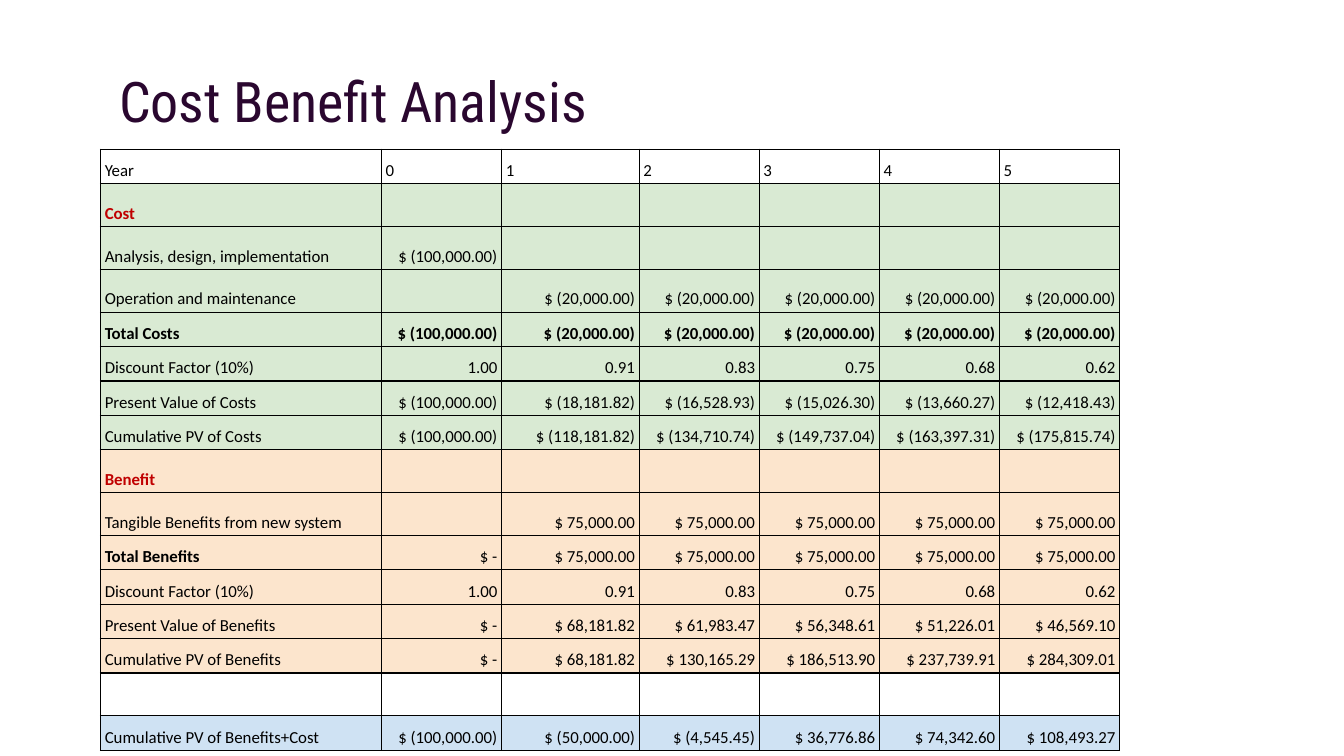
import pptx
import pptx.util
import pptx.dml.color
import pptx.enum.text
import pptx.oxml
import pptx.oxml.ns
from pptx.util import Cm


def color(value):
    return pptx.dml.color.RGBColor.from_string(value)


def add_borders(cell):
    properties = cell._tc.get_or_add_tcPr()
    for position, side in enumerate(("lnL", "lnR", "lnT", "lnB")):
        properties.insert(position, pptx.oxml.parse_xml(
            f'<a:{side} {pptx.oxml.ns.nsdecls("a")} w="9525"><a:solidFill>'
            f'<a:srgbClr val="000000"/></a:solidFill></a:{side}>'))


prs = pptx.Presentation()
prs.slide_width = Cm(25.4)
prs.slide_height = Cm(14.29)
slide = prs.slides.add_slide(prs.slide_layouts[6])

title = slide.shapes.add_textbox(Cm(2), Cm(1), Cm(21.4), Cm(1.6)).text_frame
title.word_wrap = True
title.margin_left = title.margin_right = Cm(0.25)
title.margin_top = title.margin_bottom = Cm(0.25)
heading = title.paragraphs[0]
heading.text = "Cost Benefit Analysis"
heading.font.name = "Roboto Condensed"
heading.font.size = pptx.util.Pt(30)
heading.font.color.rgb = color("2A072F")

WHITE, GREEN, ORANGE, BLUE = "FFFFFF", "D9EAD3", "FCE5CD", "CFE2F3"
empty = [""] * 6
upkeep = ["$ (20,000.00)"] * 5
income = ["$ 75,000.00"] * 5
discount = ["Discount Factor (10%)", "1.00", "0.91", "0.83", "0.75", "0.68", "0.62"]
analysis = [
    (WHITE, ["Year", "0", "1", "2", "3", "4", "5"]),
    (GREEN, ["Cost", *empty]),
    (GREEN, ["Analysis, design, implementation", "$ (100,000.00)", *empty[1:]]),
    (GREEN, ["Operation and maintenance", "", *upkeep]),
    (GREEN, ["Total Costs", "$ (100,000.00)", *upkeep]),
    (GREEN, discount),
    (GREEN, ["Present Value of Costs", "$ (100,000.00)", "$ (18,181.82)", "$ (16,528.93)",
             "$ (15,026.30)", "$ (13,660.27)", "$ (12,418.43)"]),
    (GREEN, ["Cumulative PV of Costs", "$ (100,000.00)", "$ (118,181.82)", "$ (134,710.74)",
             "$ (149,737.04)", "$ (163,397.31)", "$ (175,815.74)"]),
    (ORANGE, ["Benefit", *empty]),
    (ORANGE, ["Tangible Benefits from new system", "", *income]),
    (ORANGE, ["Total Benefits", "$ -", *income]),
    (ORANGE, discount),
    (ORANGE, ["Present Value of Benefits", "$ -", "$ 68,181.82", "$ 61,983.47",
              "$ 56,348.61", "$ 51,226.01", "$ 46,569.10"]),
    (ORANGE, ["Cumulative PV of Benefits", "$ -", "$ 68,181.82", "$ 130,165.29",
              "$ 186,513.90", "$ 237,739.91", "$ 284,309.01"]),
    (WHITE, ["", *empty]),
    (BLUE, ["Cumulative PV of Benefits+Cost", "$ (100,000.00)", "$ (50,000.00)",
            "$ (4,545.45)", "$ 36,776.86", "$ 74,342.60", "$ 108,493.27"]),
]
column_widths = [5.31, 2.27, 2.6, 2.27, 2.27, 2.27, 2.27]
row_heights = [0.81 if "" in values else 0.65 for fill, values in analysis]

costs = slide.shapes.add_table(len(analysis), len(column_widths), Cm(1.9), Cm(2.82),
                               Cm(sum(column_widths)), Cm(sum(row_heights))).table
for column, width in zip(costs.columns, column_widths):
    column.width = Cm(width)

for r, (fill, values) in enumerate(analysis):
    costs.rows[r].height = Cm(row_heights[r])
    section = values[0] in ("Cost", "Benefit")
    for c, value in enumerate(values):
        cell = costs.cell(r, c)
        cell.fill.solid()
        cell.fill.fore_color.rgb = color(fill)
        add_borders(cell)
        cell.margin_left = cell.margin_right = Cm(0.08)
        cell.margin_top = cell.margin_bottom = Cm(0.05)
        cell.vertical_anchor = pptx.enum.text.MSO_ANCHOR.BOTTOM
        entry = cell.text_frame.paragraphs[0]
        entry.line_spacing = 1.15
        if r > 0 and c > 0:
            entry.alignment = pptx.enum.text.PP_ALIGN.RIGHT
        entry.font.name = "Calibri"
        entry.font.size = pptx.util.Pt(9)
        entry.font.bold = (section or values[0] == "Total Costs"
                           or value == "Total Benefits")
        entry.font.color.rgb = color("C00000" if section else "000000")
        if value:
            entry.text = value
        else:
            entry._p.get_or_add_endParaRPr().set("sz", "900")

prs.save("out.pptx")
